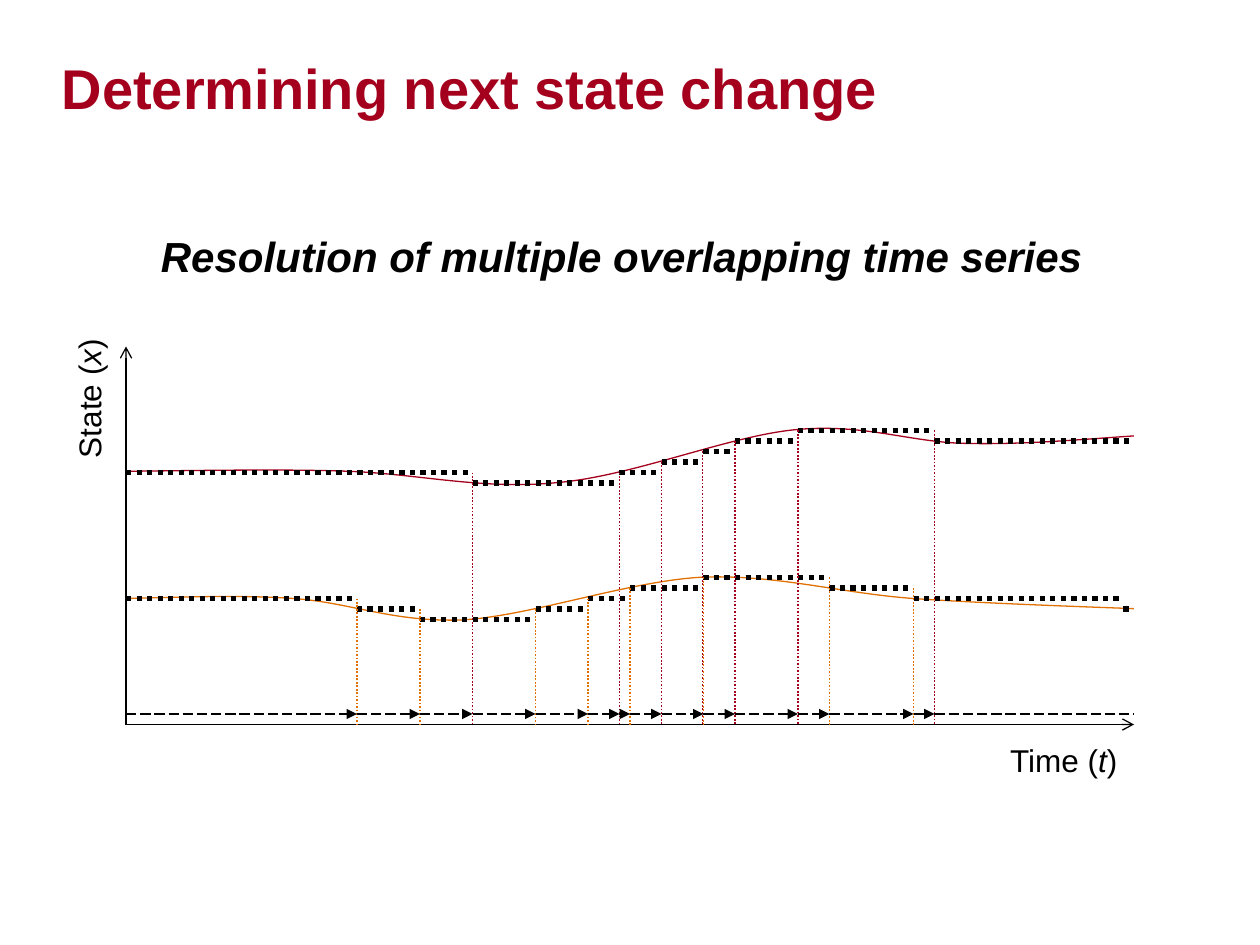
from itertools import pairwise

from lxml import etree
from pptx import Presentation
from pptx.dml.color import RGBColor
from pptx.enum.dml import MSO_LINE
from pptx.enum.shapes import MSO_CONNECTOR
from pptx.enum.text import MSO_ANCHOR, MSO_AUTO_SIZE, PP_ALIGN
from pptx.oxml.ns import qn
from pptx.util import Pt

STRAIGHT = MSO_CONNECTOR.STRAIGHT
DOTTED, DASHED = MSO_LINE.ROUND_DOT, MSO_LINE.LONG_DASH
BOTTOM, TOP = MSO_ANCHOR.BOTTOM, MSO_ANCHOR.TOP
LEFT, CENTER = PP_ALIGN.LEFT, PP_ALIGN.CENTER
NO_AUTOFIT = MSO_AUTO_SIZE.NONE

FONT = "Arial"
BLACK, RED, ORANGE = "000000", "A4001D", "E17000"
START, END = 72, 648
AXIS_Y, AXIS_TOP, EVENT_Y = 414, 198, 408
NUDGE = 0.6

RED_JUMPS = [270, 354, 378, 402, 420, 456, 534]
RED_LEVELS = [270, 276, 270, 264, 258, 252, 246, 252]
RED_CURVE = [
    (648, 249.1), (615.6, 251.3), (583.9, 254.2), (551.5, 253.4),
    (519.8, 252.7), (493.9, 241.9), (455, 245.5), (416.2, 249.1),
    (361.4, 272.2), (318.2, 275.8), (275.8, 280.1), (239, 270.7),
    (198, 269.3), (157, 267.8), (92.2, 269.3), (72, 269.3),
]
ORANGE_JUMPS = [204, 240, 306, 336, 360, 402, 474, 522]
ORANGE_LAST_JUMP = 642
ORANGE_LEVELS = [342, 348, 354, 348, 342, 336, 330, 336, 342, 348]
ORANGE_CURVE = [
    (72, 342), (103.7, 341.3), (136.1, 339.8), (167.8, 342),
    (200.2, 344.2), (224.6, 355.7), (264.2, 354.2), (303.1, 352.1),
    (359.3, 331.9), (401.8, 329.8), (445, 328.3), (481, 339.1),
    (522, 342), (563, 344.9), (627.8, 347), (648, 347.8),
]


def rgb(color):
    """Turn a hex string into a colour."""
    return RGBColor.from_string(color)


def add_run(paragraph, text, size, color=BLACK, bold=False, italic=False):
    """Append one formatted run to a paragraph."""
    run = paragraph.add_run()
    run.text = text
    font = run.font
    font.name, font.size, font.bold, font.italic = FONT, Pt(size), bold, italic
    font.color.rgb = rgb(color)


def place(shape, left, top, width, height):
    """Set position and size of a shape."""
    shape.left, shape.top = Pt(left), Pt(top)
    shape.width, shape.height = Pt(width), Pt(height)


def format_frame(frame, anchor, alignment, inset_top=0):
    """Lay out a wrapping text frame and return its first paragraph."""
    frame.word_wrap = True
    frame.auto_size = NO_AUTOFIT
    frame.vertical_anchor = anchor
    frame.margin_left = frame.margin_right = frame.margin_bottom = 0
    frame.margin_top = Pt(inset_top)
    paragraph = frame.paragraphs[0]
    paragraph.alignment = alignment
    return paragraph


def add_title(slide, text):
    """Fill the title placeholder."""
    title = slide.shapes.title
    place(title, 35.3, 10.1, 638, 59)
    add_run(format_frame(title.text_frame, BOTTOM, LEFT), text, 32, RED, bold=True)


def add_heading(slide, text):
    """Add the centred heading above the diagram."""
    heading = slide.shapes.add_textbox(Pt(36), Pt(98), Pt(638.6), Pt(399))
    paragraph = format_frame(heading.text_frame, TOP, CENTER, inset_top=34)
    add_run(paragraph, text, 24, bold=True, italic=True)


def add_axis_label(slide, name, symbol, left, top, width, rotation=0):
    """Add an axis name followed by its italic symbol."""
    label = slide.shapes.add_textbox(Pt(left), Pt(top), Pt(width), Pt(28.8))
    label.rotation = rotation
    label.text_frame.word_wrap = False
    paragraph = label.text_frame.paragraphs[0]
    add_run(paragraph, f"{name} (", 18)
    add_run(paragraph, symbol, 18, italic=True)
    add_run(paragraph, ")", 18)


def add_line(shapes, start, end, color=BLACK, width=0.75, dash=None, arrow=None):
    """Draw a straight line, dashed or arrowed on request."""
    line = shapes.add_connector(STRAIGHT, *map(Pt, start + end))
    line.line.color.rgb = rgb(color)
    line.line.width = Pt(width)
    if dash:
        line.line.dash_style = dash
    properties = line.element.spPr
    if arrow:
        etree.SubElement(properties.find(qn("a:ln")), qn("a:tailEnd"), type=arrow)
    etree.SubElement(properties, qn("a:effectLst"))


def add_curve(slide, points, color):
    """Draw a chain of cubic Bezier segments through every third point."""
    emu_points = [(Pt(x), Pt(y)) for x, y in points]
    builder = slide.shapes.build_freeform(*emu_points[0], scale=1.0)
    builder.add_line_segments(emu_points[1:], close=False)
    curve = builder.convert_to_shape()
    segments = list(curve.element.iter(qn("a:lnTo")))
    outline = segments[0].getparent()
    for first in range(0, len(segments), 3):
        bezier = etree.SubElement(outline, qn("a:cubicBezTo"))
        for segment in segments[first:first + 3]:
            bezier.append(segment[0])
            outline.remove(segment)
    curve.fill.background()
    curve.line.color.rgb = rgb(color)
    curve.line.width = Pt(0.75)
    curve.shadow.inherit = False


def add_steps(slide, jumps, levels):
    """Draw the constant levels between jumps as one group."""
    steps = slide.shapes.add_group_shape().shapes
    for (left, right), level in zip(pairwise([START, *jumps, END]), levels):
        add_line(steps, (left, level), (right, level), width=3, dash=DOTTED)


def add_drops(slide, jumps, levels, color, taken=()):
    """Drop a dotted line from each jump to the time axis."""
    for jump, neighbours in zip(jumps, pairwise(levels)):
        x = jump - NUDGE if jump in taken else jump
        add_line(slide.shapes, (x, min(neighbours)), (x, AXIS_Y), color, 1, DOTTED)


def add_events(slide, jumps):
    """Draw the dashed arrows from each state change to the next."""
    for left, right in pairwise([START, *sorted(set(jumps)), END]):
        arrow = None if right == END else "triangle"
        add_line(slide.shapes, (left, EVENT_Y), (right, EVENT_Y), dash=DASHED, arrow=arrow)


def main():
    """Build the slide and save it."""
    deck = Presentation()
    deck.slide_width, deck.slide_height = Pt(720), Pt(540)
    slide = deck.slides.add_slide(deck.slide_layouts[5])
    add_title(slide, "Determining next state change")
    add_heading(slide, "Resolution of multiple overlapping time series")
    for tip in ((END, AXIS_Y), (START, AXIS_TOP)):
        add_line(slide.shapes, (START, AXIS_Y), tip, arrow="arrow")
    add_axis_label(slide, "Time", "t", 570.2, 419.8, 76.3)
    add_axis_label(slide, "State", "x", 9.4, 213.1, 82.8, rotation=270)
    add_curve(slide, ORANGE_CURVE, ORANGE)
    add_curve(slide, RED_CURVE, RED)
    add_steps(slide, RED_JUMPS, RED_LEVELS)
    add_steps(slide, [*ORANGE_JUMPS, ORANGE_LAST_JUMP], ORANGE_LEVELS)
    add_drops(slide, ORANGE_JUMPS, ORANGE_LEVELS, ORANGE)
    add_drops(slide, RED_JUMPS, RED_LEVELS, RED, taken=ORANGE_JUMPS)
    add_events(slide, RED_JUMPS + ORANGE_JUMPS)
    deck.save("out.pptx")


if __name__ == "__main__":
    main()
